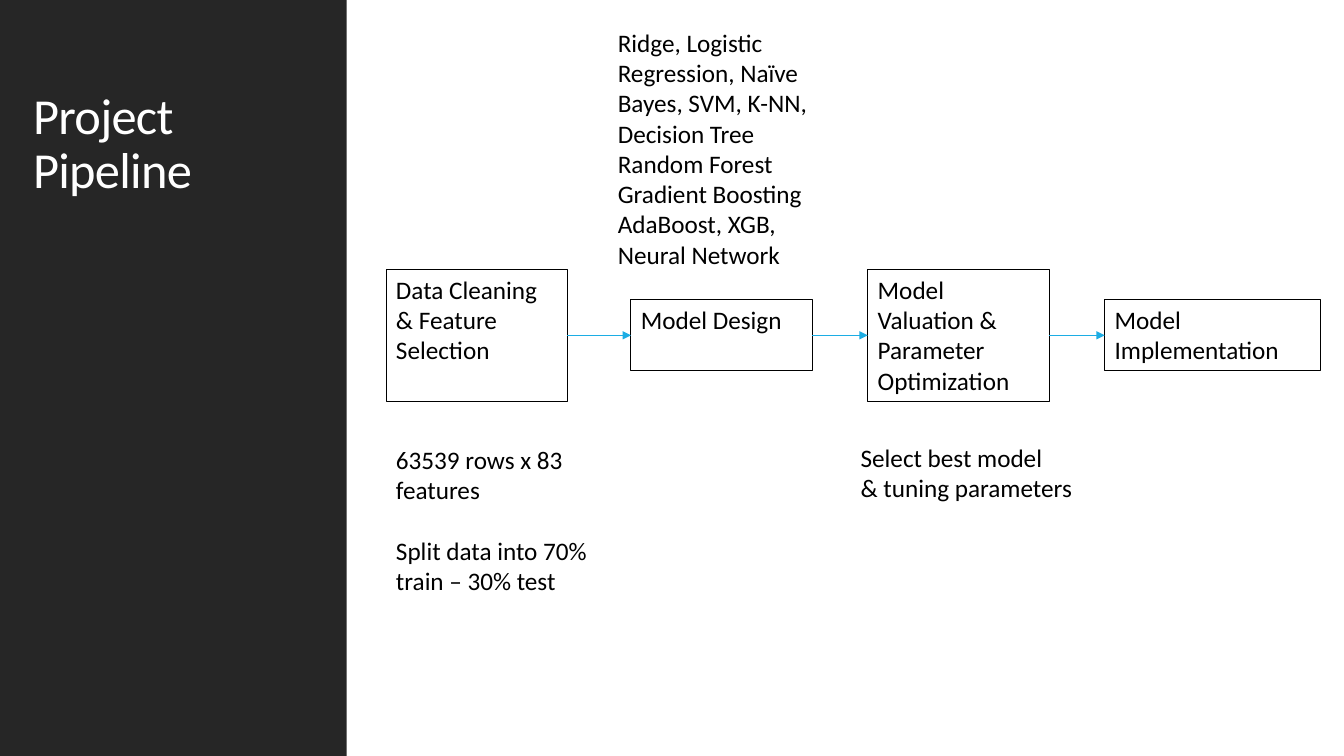
from dataclasses import dataclass
from itertools import pairwise

import lxml.etree
import pptx
import pptx.dml.color
import pptx.enum.shapes
import pptx.enum.text
import pptx.oxml.ns
import pptx.util
from pptx.util import Cm


@dataclass(frozen=True)
class Theme:
    font: str = "Calibri"
    title_size: float = 36
    body_size: float = 18
    paragraph_gap: float = 22
    outline_width: float = 0.75
    arrow_width: float = 1
    sidebar: str = "262626"
    title: str = "FFFFFF"
    ink: str = "000000"
    arrow: str = "1CADE4"


@dataclass(frozen=True)
class Step:
    text: str
    left: float
    width: float
    height: float


@dataclass(frozen=True)
class Note:
    paragraphs: tuple[str, ...]
    left: float
    top: float
    width: float
    height: float
    gap: float = 0


THEME = Theme()
SLIDE_WIDTH, SLIDE_HEIGHT = 33.87, 19.05
FLOW_MIDDLE = 8.45
RIGHT_SIDE, LEFT_SIDE = 3, 1

STEPS = (
    Step("Data Cleaning & Feature Selection", 9.73, 4.57, 3.33),
    Step("Model Design", 15.9, 4.57, 1.8),
    Step("Model Valuation & Parameter Optimization", 21.87, 4.57, 3.33),
    Step("Model Implementation", 27.84, 5.44, 1.8),
)
NOTES = (
    Note(("63539 rows x 83 features", "Split data into 70% train – 30% test"),
         9.73, 11.07, 5.59, 5.64, THEME.paragraph_gap),
    Note(("Ridge, Logistic Regression, Naïve Bayes, SVM, K-NN, Decision Tree",
          "Random Forest Gradient Boosting", "AdaBoost, XGB,", "Neural Network"),
         15.32, 0.56, 6.12, 6.4),
    Note(("Select best model", "& tuning parameters"), 21.44, 11.02, 7.52, 1.8),
)


def rgb(value: str) -> pptx.dml.color.RGBColor:
    return pptx.dml.color.RGBColor.from_string(value)


def write_text(shape, paragraphs: tuple[str, ...], *, size: float = THEME.body_size,
               color: str = THEME.ink, gap: float = 0, line_spacing: float = 1.0,
               tracking: float = 0) -> None:
    frame = shape.text_frame
    frame.word_wrap = True
    frame.auto_size = pptx.enum.text.MSO_AUTO_SIZE.NONE
    frame.vertical_anchor = pptx.enum.text.MSO_ANCHOR.TOP
    for index, text in enumerate(paragraphs):
        paragraph = frame.add_paragraph() if index else frame.paragraphs[0]
        paragraph.alignment = pptx.enum.text.PP_ALIGN.LEFT
        paragraph.line_spacing = line_spacing
        paragraph.space_before = pptx.util.Pt(gap if index else 0)
        run = paragraph.add_run()
        run.text = text
        run.font.name = THEME.font
        run.font.size = pptx.util.Pt(size)
        run.font.color.rgb = rgb(color)
    if tracking:
        for properties in shape.element.iter(pptx.oxml.ns.qn("a:rPr")):
            properties.set("spc", str(round(tracking * 100)))


def draw_title(slide, text: str) -> None:
    title = slide.shapes.title
    title.left, title.top, title.width, title.height = Cm(0.58), Cm(2.16), Cm(7.52), Cm(5.82)
    write_text(title, (text,), size=THEME.title_size, color=THEME.title,
               line_spacing=0.9, tracking=-0.5)
    sidebar = slide.shapes.add_shape(pptx.enum.shapes.MSO_SHAPE.RECTANGLE,
                                     0, 0, Cm(8.74), Cm(SLIDE_HEIGHT))
    sidebar.shadow.inherit = False
    sidebar.fill.solid()
    sidebar.fill.fore_color.rgb = rgb(THEME.sidebar)
    sidebar.line.fill.background()
    title.element.addprevious(sidebar.element)


def draw_step(slide, step: Step):
    box = slide.shapes.add_textbox(Cm(step.left), Cm(FLOW_MIDDLE - step.height / 2),
                                   Cm(step.width), Cm(step.height))
    box.line.color.rgb = rgb(THEME.ink)
    box.line.width = pptx.util.Pt(THEME.outline_width)
    write_text(box, (step.text,))
    return box


def draw_arrow(slide, source, target) -> None:
    arrow = slide.shapes.add_connector(pptx.enum.shapes.MSO_CONNECTOR.STRAIGHT, 0, 0, 0, 0)
    arrow.begin_connect(source, RIGHT_SIDE)
    arrow.end_connect(target, LEFT_SIDE)
    arrow.line.color.rgb = rgb(THEME.arrow)
    arrow.line.width = pptx.util.Pt(THEME.arrow_width)
    qn = pptx.oxml.ns.qn
    properties = arrow.element.find(qn("p:spPr"))
    lxml.etree.SubElement(properties.find(qn("a:ln")), qn("a:tailEnd"), type="triangle")
    lxml.etree.SubElement(properties, qn("a:effectLst"))


def draw_note(slide, note: Note) -> None:
    box = slide.shapes.add_textbox(Cm(note.left), Cm(note.top), Cm(note.width), Cm(note.height))
    write_text(box, note.paragraphs, gap=note.gap)


def main() -> None:
    presentation = pptx.Presentation()
    presentation.slide_width = Cm(SLIDE_WIDTH)
    presentation.slide_height = Cm(SLIDE_HEIGHT)
    slide = presentation.slides.add_slide(presentation.slide_layouts.get_by_name("Title Only"))
    draw_title(slide, "Project Pipeline")
    step_boxes = [draw_step(slide, step) for step in STEPS]
    for source, target in pairwise(step_boxes):
        draw_arrow(slide, source, target)
    for note in NOTES:
        draw_note(slide, note)
    presentation.save("out.pptx")


if __name__ == "__main__":
    main()
